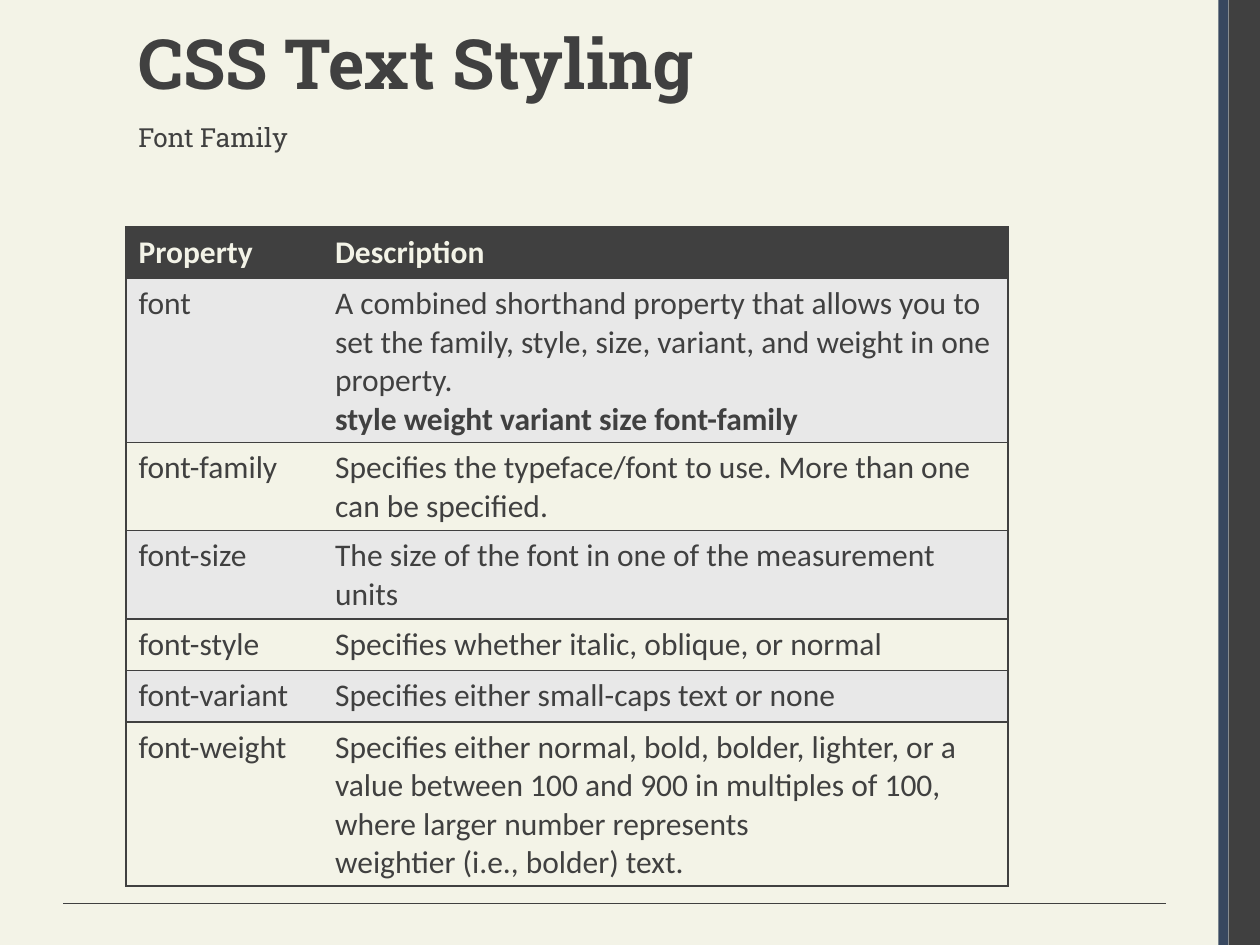
import dataclasses

import lxml.etree
import pptx
import pptx.dml.color
import pptx.enum.shapes
import pptx.oxml.ns
import pptx.util

Inches = pptx.util.Inches

COLORS = {
    "cream": "F3F3E7",
    "charcoal": "404040",
    "navy": "37475F",
    "band": "E8E8E8",
}
HEADING_FONT = "Roboto Slab"
TABLE_FONT = "Calibri"


@dataclasses.dataclass
class Bar:
    left: float
    width: float
    color: str


@dataclasses.dataclass
class Property:
    name: str
    description: str
    detail: str = ""
    detail_bold: bool = False


BARS = [Bar(9.75, 0.25, "charcoal"), Bar(9.67, 0.08, "navy")]

PROPERTIES = [
    Property(
        "font",
        "A combined shorthand property that allows you to set the family, "
        "style, size, variant, and weight in one property.",
        "style weight variant size font-family",
        True,
    ),
    Property(
        "font-family",
        "Specifies the typeface/font to use. More than one can be specified.",
    ),
    Property("font-size", "The size of the font in one of the measurement units"),
    Property("font-style", "Specifies whether italic, oblique, or normal"),
    Property("font-variant", "Specifies either small-caps text or none"),
    Property(
        "font-weight",
        "Specifies either normal, bold, bolder, lighter, or a value between "
        "100 and 900 in multiples of 100, where larger number represents",
        "weightier (i.e., bolder) text.",
    ),
]


def rgb(color: str) -> pptx.dml.color.RGBColor:
    """Return the named palette colour."""
    return pptx.dml.color.RGBColor.from_string(COLORS[color])


def write_text(paragraph, text: str, *, size: float, font: str = TABLE_FONT,
               color: str = "charcoal", bold: bool = False) -> None:
    """Put formatted text into a paragraph."""
    paragraph.font.size = pptx.util.Pt(size)
    run = paragraph.add_run()
    run.text = text
    run.font.name = font
    run.font.size = pptx.util.Pt(size)
    run.font.bold = bold
    run.font.color.rgb = rgb(color)


def add_heading(slide, text: str, top: float, width: float, height: float,
                inset: float, **text_format) -> None:
    """Add a heading text box at the left margin."""
    shape = slide.shapes.add_textbox(
        Inches(1), Inches(top), Inches(width), Inches(height))
    frame = shape.text_frame
    frame.word_wrap = True
    frame.margin_top = Inches(inset)
    write_text(frame.paragraphs[0], text, font=HEADING_FONT, **text_format)


def add_bar(slide, bar: Bar) -> None:
    """Add a full-height vertical bar."""
    shape = slide.shapes.add_shape(
        pptx.enum.shapes.MSO_SHAPE.RECTANGLE,
        Inches(bar.left), 0, Inches(bar.width), Inches(7.5))
    shape.shadow.inherit = False
    shape.fill.solid()
    shape.fill.fore_color.rgb = rgb(bar.color)
    shape.line.fill.background()


def add_footer_line(slide) -> None:
    """Add the thin line along the bottom."""
    line = slide.shapes.add_connector(
        pptx.enum.shapes.MSO_CONNECTOR.STRAIGHT,
        Inches(9.25), Inches(7.17), Inches(0.5), Inches(7.17))
    line.line.color.rgb = rgb("charcoal")
    line.line.width = pptx.util.Pt(0.75)
    properties = line._element.spPr
    lxml.etree.SubElement(properties, pptx.oxml.ns.qn("a:effectLst"))


def set_borders(cell, visible: str) -> None:
    """Draw the given sides (of L, R, T, B) and hide the others."""
    qn = pptx.oxml.ns.qn
    properties = cell._tc.get_or_add_tcPr()
    for side in "LRTB":
        border = lxml.etree.SubElement(
            properties, qn(f"a:ln{side}"), w=str(pptx.util.Pt(1)))
        if side in visible:
            fill = lxml.etree.SubElement(border, qn("a:solidFill"))
            lxml.etree.SubElement(
                fill, qn("a:srgbClr"), val=COLORS["charcoal"])
        else:
            lxml.etree.SubElement(border, qn("a:noFill"))


def fill_row(table, index: int, entry: Property) -> None:
    """Write and style one table row."""
    header = index == 0
    background = "charcoal" if header else ("cream", "band")[index % 2]
    color = "cream" if header else "charcoal"
    table.rows[index].height = Inches(0.41)
    for column, text in enumerate((entry.name, entry.description)):
        cell = table.cell(index, column)
        set_borders(cell, "LTB" if column == 0 else "RTB")
        cell.fill.solid()
        cell.fill.fore_color.rgb = rgb(background)
        write_text(cell.text_frame.paragraphs[0], text,
                   size=18, color=color, bold=header)
    if entry.detail:
        write_text(cell.text_frame.add_paragraph(), entry.detail,
                   size=18, bold=entry.detail_bold)


def add_property_table(slide) -> None:
    """Add the table of font properties."""
    entries = [Property("Property", "Description"), *PROPERTIES]
    shape = slide.shapes.add_table(
        len(entries), 2, Inches(1), Inches(1.8), Inches(7), Inches(5.22))
    table = shape.table
    table.horz_banding = False
    for column, width in zip(table.columns, (1.56, 5.44)):
        column.width = Inches(width)
    for index, entry in enumerate(entries):
        fill_row(table, index, entry)
    shape.height = Inches(5.22)


def main() -> None:
    """Build and save the slide."""
    presentation = pptx.Presentation()
    presentation.slide_width = Inches(10)
    presentation.slide_height = Inches(7.5)
    slide = presentation.slides.add_slide(presentation.slide_layouts[6])
    slide.background.fill.solid()
    slide.background.fill.fore_color.rgb = rgb("cream")
    for bar in BARS:
        add_bar(slide, bar)
    add_footer_line(slide)
    add_heading(slide, "CSS Text Styling", 0.13, 8.5, 1.12, 0.03,
                size=39.6, bold=True)
    add_property_table(slide)
    add_heading(slide, "Font Family", 0.92, 7, 0.33, 0.04, size=15)
    presentation.save("out.pptx")


if __name__ == "__main__":
    main()
